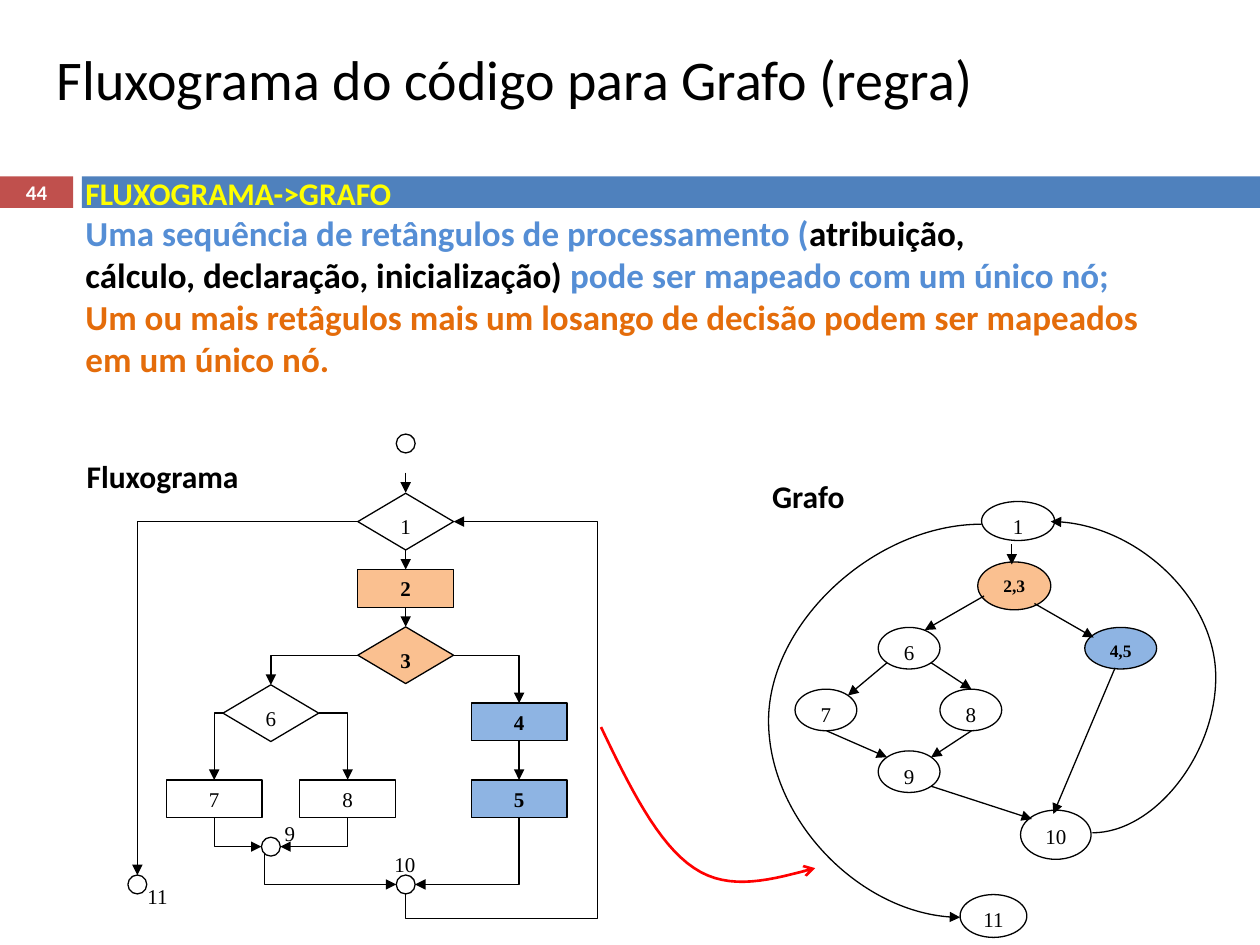
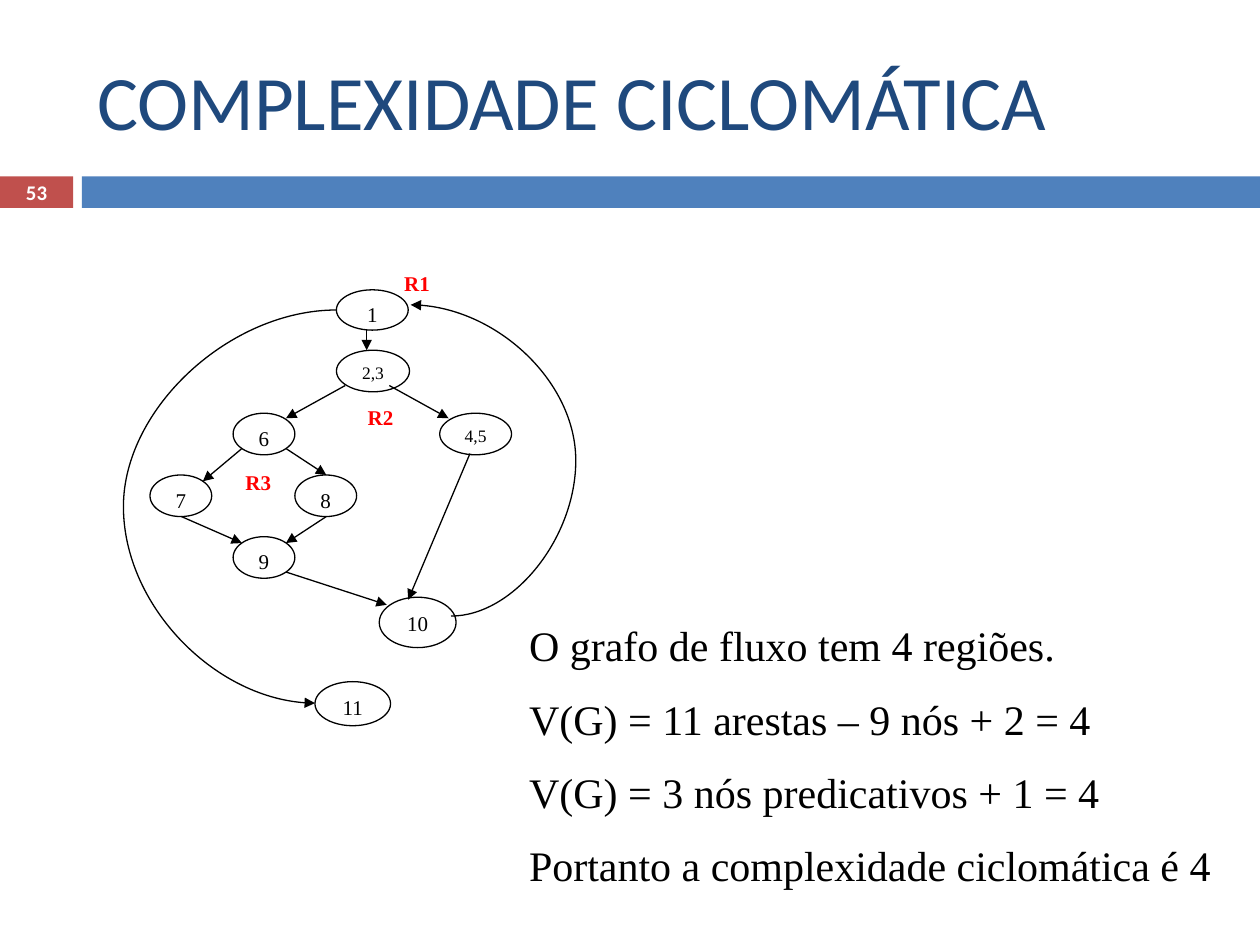
from lxml import etree
from pptx import Presentation
from pptx.dml.color import RGBColor
from pptx.enum import shapes as kinds, text as texts
from pptx.oxml.ns import qn
from pptx.util import Inches, Pt

SANS, SERIF = "Calibri", "Times New Roman"
BLACK, WHITE, RED, YELLOW = "000000", "FFFFFF", "FF0000", "FFFF00"
BLUE, BRICK, NAVY = "4F81BD", "C0504D", "1F497D"
SKY, ORANGE, PEACH, PALE = "558ED5", "E46C0A", "FAC090", "8EB4E3"
LEFT, MID, JUST = (texts.PP_ALIGN.LEFT, texts.PP_ALIGN.CENTER,
                   texts.PP_ALIGN.JUSTIFY)
TOP, CENTER = texts.MSO_ANCHOR.TOP, texts.MSO_ANCHOR.MIDDLE
FORM, LINK = kinds.MSO_SHAPE, kinds.MSO_CONNECTOR
SIDES = {"t": (0.5, 0), "l": (0, 0.5), "b": (0.5, 1), "r": (1, 0.5),
         "c": (0.15, 0.85)}


def rgb(code):
    return RGBColor.from_string(code)


def write(frame, lines, size=12, font=SERIF, color=BLACK, bold=False,
          align=LEFT, anchor=TOP, inset=(0.1, 0.05), gap=0, wrap=True):
    """Fill a frame; a line is a string or a list of (text, color, size)."""
    frame.word_wrap = wrap
    frame.auto_size = texts.MSO_AUTO_SIZE.NONE
    frame.vertical_anchor = anchor
    frame.margin_left = frame.margin_right = Inches(inset[0])
    frame.margin_top = frame.margin_bottom = Inches(inset[1])
    for i, line in enumerate([lines] if isinstance(lines, str) else lines):
        para = frame.add_paragraph() if i else frame.paragraphs[0]
        para.alignment = align[i] if isinstance(align, list) else align
        para.space_before = Pt(gap)
        for words, tint, high in ([(line, color, size)]
                                  if isinstance(line, str) else line):
            run = para.add_run()
            run.text = words
            run.font.size, run.font.name = Pt(high), font
            run.font.bold = bold
            run.font.color.rgb = rgb(tint)


def label(slide, box, lines, **style):
    item = slide.shapes.add_textbox(*map(Inches, box))
    write(item.text_frame, lines, **style)


def block(slide, form, box, fill=WHITE, edge=BLACK, words="", **style):
    item = slide.shapes.add_shape(form, *map(Inches, box))
    item.shadow.inherit = False
    item.fill.solid()
    item.fill.fore_color.rgb = rgb(fill)
    if edge:
        item.line.color.rgb = rgb(edge)
        item.line.width = Pt(0.75)
    else:
        item.line.fill.background()
    if words:
        write(item.text_frame, words, align=MID, inset=(0, 0.05), **style)
    return item


def stroke(item, color=BLACK, width=0.75, end="tailEnd", head="triangle"):
    """Colour a line and put an arrowhead on one end."""
    item.line.color.rgb = rgb(color)
    item.line.width = Pt(width)
    edge = item.element.find(".//" + qn("a:ln"))
    etree.SubElement(edge, qn("a:" + end), type=head)


def link(slide, start, stop, kind=LINK.STRAIGHT, end="tailEnd"):
    """Connector between two points in EMU."""
    item = slide.shapes.add_connector(kind, *start, *stop)
    stroke(item, end=end)
    etree.SubElement(item.element.spPr, qn("a:effectLst"))
    frame = item.element.spPr.find(qn("a:xfrm"))
    if kind != LINK.STRAIGHT and frame.get("flipH") and not frame.get("flipV"):
        del frame.attrib["flipH"]
        frame.set("rot", "10800000")
        frame.set("flipV", "1")
    return item


def arrow(slide, x, y, ends):
    x1, y1, x2, y2 = ends
    return link(slide, (Inches(x + x1), Inches(y + y1)),
                (Inches(x + x2), Inches(y + y2)))


def drop(slide, upper, lower):
    """Straight arrow from the bottom of one shape to the top of the next."""
    item = link(slide, spot(upper, "b"), spot(lower, "t"))
    item.begin_connect(upper, 2)
    item.end_connect(lower, 0)


def spot(item, side):
    across, down = SIDES[side]
    return (int(item.left + across * item.width),
            int(item.top + down * item.height))


def elbow(slide, first, side, last, edge, end="tailEnd"):
    """Leave the first shape sideways, meet the last one from above or below."""
    item = link(slide, spot(first, side), spot(last, edge), LINK.ELBOW, end)
    item.element.spPr.find(qn("a:prstGeom")).set("prst", "bentConnector2")
    joints = item.element.find(".//" + qn("p:cNvCxnSpPr"))
    for tag, shape, place in (("stCxn", first, side), ("endCxn", last, edge)):
        is_dot = shape.auto_shape_type == FORM.FLOWCHART_CONNECTOR
        site = ("t-lcb-r" if is_dot else "tlbr").index(place)
        etree.SubElement(joints, qn("a:" + tag), id=str(shape.shape_id),
                         idx=str(site))


def bow(slide, x, y, ends, via):
    """Curved arrow that swings out to the column at via."""
    x1, y1, x2, y2 = ends
    item = link(slide, (Inches(x + x1), Inches(y + y1)),
                (Inches(x + x2), Inches(y + y2)), LINK.CURVE)
    guides = item.element.spPr.find(qn("a:prstGeom")).find(qn("a:avLst"))
    swing = round((via - x1) / (x2 - x1) * 100000)
    etree.SubElement(guides, qn("a:gd"), name="adj1", fmla=f"val {swing}")


def trail(slide, points, **style):
    """Open path with an arrowhead through points in EMU."""
    pen = slide.shapes.build_freeform(*points[0], scale=1.0)
    pen.add_line_segments(points[1:], close=False)
    item = pen.convert_to_shape()
    item.shadow.inherit = False
    item.fill.background()
    stroke(item, **style)


def cubic(knots, steps=16):
    """Points along one cubic curve given in inches."""
    for i in range(steps + 1):
        t = i / steps
        parts = ((1 - t) ** 3, 3 * t * (1 - t) ** 2, 3 * t * t * (1 - t), t ** 3)
        yield tuple(Inches(sum(p * k[axis] for p, k in zip(parts, knots)))
                    for axis in (0, 1))


def bands(slide, layout):
    """Draw the two bands and hand them to the layout."""
    for i, (left, width, fill) in enumerate(((0, 0.58, BRICK),
                                             (0.65, 9.35, BLUE))):
        band = block(slide, FORM.RECTANGLE, (left, 1.4, width, 0.25), fill, None)
        band.element.find(".//" + qn("p:cNvPr")).set("id", str(90 + i))
        layout.shapes.element.insert(2 + i, band.element)


def heading(slide, box, words, number, **style):
    title = slide.shapes.title
    title.left, title.top, title.width, title.height = map(Inches, box)
    write(title.text_frame, words, font=SANS, anchor=CENTER, **style)
    label(slide, (0, 1.39, 0.58, 0.27), number, size=11.9, font=SANS,
          color=WHITE, bold=True, align=MID, anchor=CENTER)


def chart(slide, x, y):
    """Flowchart with its top left corner at x, y."""
    def part(form, mid, down, wide, high, **style):
        return block(slide, form, (x + mid - wide / 2, y + down - high / 2,
                                   wide, high), **style)

    steps = {}
    for name, mid, down, fill in (
            ("1", 2.21, 0.7, WHITE), ("3", 2.21, 1.76, PEACH),
            ("6", 1.14, 2.22, WHITE)):
        steps[name] = part(FORM.FLOWCHART_DECISION, mid, down, 0.76, 0.45,
                           fill=fill, words=name, bold=fill != WHITE)
    for name, mid, down, fill in (
            ("2", 2.21, 1.23, PEACH), ("4", 3.11, 2.29, PALE),
            ("5", 3.11, 2.9, PALE), ("7", 0.69, 2.9, WHITE),
            ("8", 1.75, 2.9, WHITE)):
        steps[name] = part(FORM.FLOWCHART_PROCESS, mid, down, 0.76, 0.3,
                           fill=fill, words=name, bold=fill != WHITE)
    for name, mid, down in (("0", 2.21, 0.08), ("9", 1.14, 3.28),
                            ("10", 2.21, 3.58), ("11", 0.08, 3.58)):
        steps[name] = part(FORM.FLOWCHART_CONNECTOR, mid, down, 0.15, 0.15)

    arrow(slide, x, y, (2.21, 0.31, 2.21, 0.47))
    for upper, lower in ("12", "23", "45"):
        drop(slide, steps[upper], steps[lower])
    for first, side, last in (("3", "r", "4"), ("3", "l", "6"), ("6", "l", "7"),
                              ("6", "r", "8"), ("1", "l", "11")):
        elbow(slide, steps[first], side, steps[last], "t")
    for dot, side, source, edge in (("9", "l", "7", "b"), ("9", "r", "8", "b"),
                                    ("10", "l", "9", "c"), ("10", "r", "5", "b")):
        elbow(slide, steps[dot], side, steps[source], edge, end="headEnd")
    start, stop = spot(steps["10"], "b"), spot(steps["1"], "r")
    right, low = Inches(x + 3.73), Inches(y + 3.85)
    trail(slide, [start, (start[0], low), (right, low), (right, stop[1]), stop])
    for name, left, top, wide in (("10", 2.0, 3.26, 0.44), ("9", 1.13, 3.01, 0.3),
                                  ("11", 0.04, 3.51, 0.44)):
        label(slide, (x + left, y + top, wide, 0.3), name, inset=(0.12, 0.06))


NODES = {"1": (1.69, 0, 0.58, 0.31), "2,3": (1.66, 0.48, 0.58, 0.38),
         "4,5": (2.51, 1, 0.57, 0.33), "6": (0.87, 1, 0.49, 0.33),
         "7": (0.21, 1.49, 0.49, 0.33), "8": (1.36, 1.49, 0.49, 0.33),
         "9": (0.87, 1.98, 0.49, 0.33), "10": (2, 2.45, 0.56, 0.39),
         "11": (1.52, 3.12, 0.53, 0.34)}
EDGES = [(1.93, 0.34, 1.93, 0.5), (0.94, 1.28, 0.63, 1.54),
         (1.29, 1.28, 1.61, 1.49), (0.46, 1.82, 0.94, 2.03),
         (1.61, 1.82, 1.29, 2.03), (2.75, 1.32, 2.26, 2.48),
         (1.29, 2.26, 2.09, 2.52)]


def graph(slide, x, y, forks, back, via, fills=None, moved=None):
    """Flow graph at x, y; forks leave node 2,3 and back returns to node 1."""
    fills = fills or {}
    for name, (left, top, wide, high) in {**NODES, **(moved or {})}.items():
        block(slide, FORM.OVAL, (x + left, y + top, wide, high),
              fills.get(name, WHITE), words=name, bold=name in fills,
              size=10 if "," in name else 12, wrap=False)
    for ends in EDGES + forks:
        arrow(slide, x, y, ends)
    bow(slide, x, y, back, via)
    bow(slide, x, y, (1.69, 0.18, 1.52, 3.3), 0)


def rules(slide):
    heading(slide, (0.35, 0.08, 7.93, 1.08),
            "Fluxograma do código para Grafo (regra)", "44", size=32)
    label(slide, (0.58, 1.33, 9.71, 1.75), [
        [("FLUXOGRAMA->GRAFO", YELLOW, 18)],
        [("Uma sequência de retângulos de processamento (", SKY, 20),
         ("atribuição,", BLACK, 20)],
        [("cálculo, declaração, inicialização) ", BLACK, 20),
         ("pode ser mapeado com um único nó;", SKY, 20)],
        [("Um ou mais retâgulos mais um losango de decisão podem ser mapeados",
          ORANGE, 20)],
        [("em um único nó.", ORANGE, 20)]],
        font=SANS, bold=True, align=[JUST] + [LEFT] * 4)
    chart(slide, 1.01, 3.44)
    graph(slide, 6.1, 3.98,
          forks=[(1.71, 0.75, 1.24, 1.02), (2.11, 0.81, 2.58, 1.08)],
          back=(2.57, 2.63, 2.24, 0.16), via=3.55,
          fills={"2,3": PEACH, "4,5": PALE})
    bend = (5.51, 6.89)
    trail(slide, [*cubic([(4.77, 5.77), (4.99, 6.23), (5.22, 6.7), bend]),
                  *cubic([bend, (5.79, 7.08), (6.13, 6.98), (6.47, 6.89)])],
          color=RED, width=1.5, head="arrow")
    for box, words in (((0.59, 3.58, 1.46, 0.4), "Fluxograma"),
                       ((6.03, 3.74, 0.8, 0.4), "Grafo")):
        label(slide, box, words, size=18, font=SANS, bold=True, wrap=False)


def regions(slide):
    heading(slide, (0.67, 0.25, 8.92, 1.08), "COMPLEXIDADE CICLOMÁTICA", "53",
            size=44, color=NAVY)
    label(slide, (4.1, 4.87, 5.62, 2.32), [
        "O grafo de fluxo tem 4 regiões.",
        "V(G) = 11 arestas – 9 nós + 2 = 4",
        "V(G) = 3 nós predicativos + 1 = 4",
        "Portanto a complexidade ciclomática é 4"], size=24, gap=13)
    graph(slide, 0.98, 2.28,
          forks=[(1.76, 0.78, 1.29, 1.04), (2.11, 0.78, 2.58, 1.04)],
          back=(2.6, 2.61, 2.28, 0.14), via=3.59,
          moved={"1": (1.69, 0.02, 0.57, 0.32), "2,3": (1.69, 0.5, 0.58, 0.33),
                 "10": (2.03, 2.46, 0.61, 0.4), "11": (1.52, 3.13, 0.6, 0.35)})
    for name, left, top in (("R1", 3.11, 2.1), ("R2", 2.82, 3.16),
                            ("R3", 1.85, 3.68)):
        label(slide, (left, top, 0.63, 0.63), name, color=RED, bold=True)


def main():
    deck = Presentation()
    deck.slide_width, deck.slide_height = Inches(10), Inches(7.5)
    layout = deck.slide_layouts[5]
    first, second = (deck.slides.add_slide(layout) for _ in range(2))
    bands(first, layout)
    rules(first)
    regions(second)
    deck.save("out.pptx")


if __name__ == "__main__":
    main()
